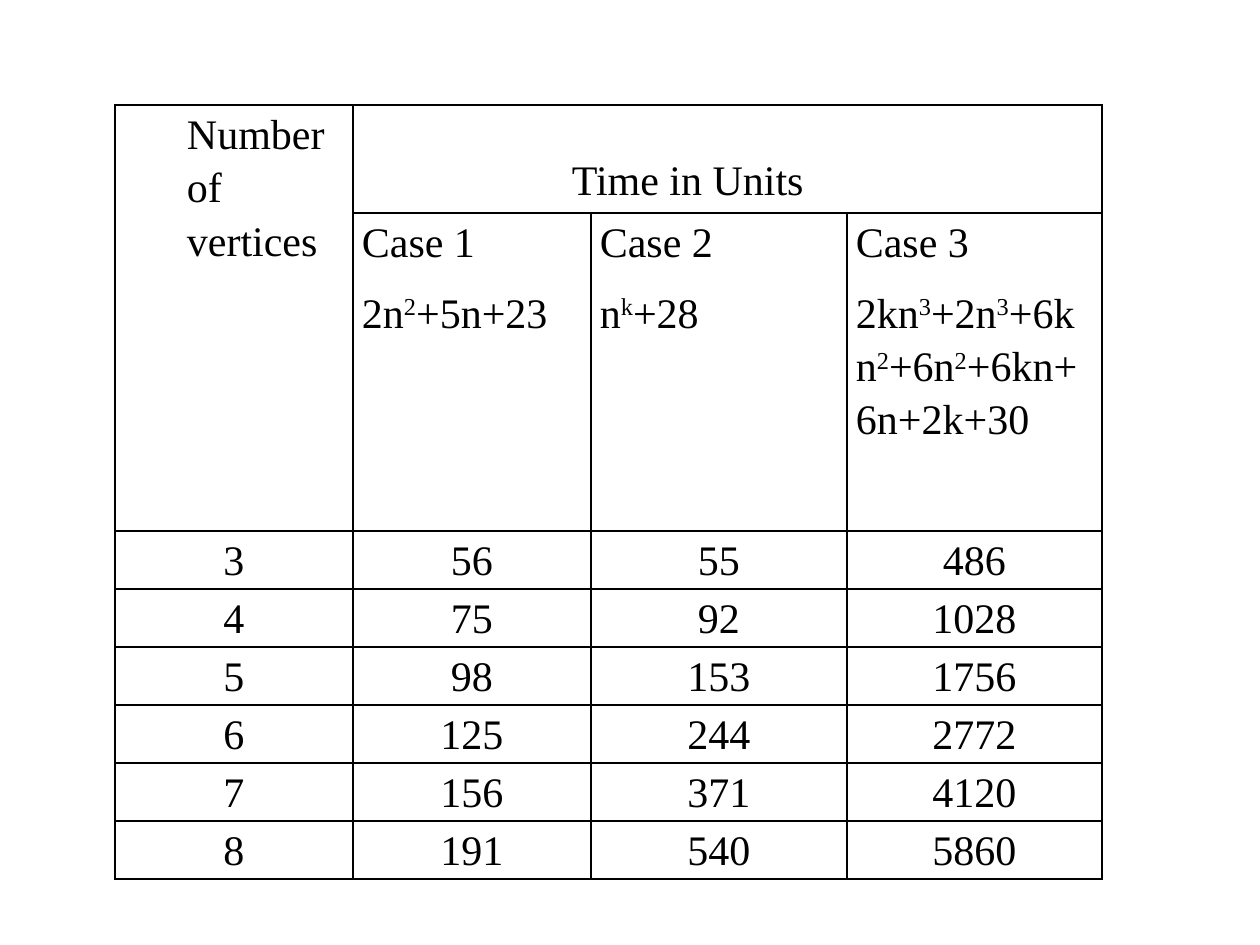
"""Build a slide with a table of running times for three cases."""
from dataclasses import dataclass

from lxml.etree import SubElement
from pptx import Presentation
from pptx.dml.color import RGBColor
from pptx.enum.text import PP_ALIGN as Align
from pptx.oxml.ns import qn
from pptx.table import _Cell as Cell
from pptx.util import Emu, Pt

BLACK = RGBColor(0, 0, 0)
FONT = "Times New Roman"
COLUMNS = (238, 238, 256, 255)
ROWS = (108, 318) + (58,) * 6
TIMES = (
    (3, 56, 55, 486),
    (4, 75, 92, 1028),
    (5, 98, 153, 1756),
    (6, 125, 244, 2772),
    (7, 156, 371, 4120),
    (8, 191, 540, 5860),
)


@dataclass(frozen=True)
class Entry:
    row: int
    col: int
    lines: tuple[str, ...]
    align: Align = Align.LEFT
    indent: int = 0
    top: int = 0


HEADERS = (
    Entry(0, 0, ("Number of vertices",), Align.JUSTIFY, indent=63),
    Entry(0, 1, ("Time in Units",), indent=210, top=46),
    Entry(1, 1, ("Case 1", "2n^2^+5n+23")),
    Entry(1, 2, ("Case 2", "n^k^+28")),
    Entry(1, 3, ("Case 3", "2kn^3^+2n^3^+6kn^2^+6n^2^+6kn+6n+2k+30")),
)


def px(value: float) -> Emu:
    """Convert pixels to EMU."""
    return Emu(round(value * 914400 / 126))


def style_cell(cell: Cell) -> None:
    """Clear the fill, set the margins and draw black borders."""
    cell.margin_left = cell.margin_right = px(9)
    cell.margin_top = cell.margin_bottom = 0
    tc_pr = cell._tc.get_or_add_tcPr()
    for side in ("lnL", "lnR", "lnT", "lnB"):
        ln = SubElement(tc_pr, qn(f"a:{side}"), w=str(Pt(1)))
        fill = SubElement(ln, qn("a:solidFill"))
        SubElement(fill, qn("a:srgbClr"), val=str(BLACK))
    cell.fill.background()


def write_entry(cell: Cell, entry: Entry) -> None:
    """Write the lines of an entry, with superscripts between carets."""
    cell.margin_top = px(entry.top)
    tf = cell.text_frame
    tf.text = "\n".join(entry.lines)
    for p, line in zip(tf.paragraphs, entry.lines):
        p.text = ""
        p.alignment = entry.align
        p.line_spacing = 1.15
        p.space_after = Pt(10)
        p._p.get_or_add_pPr().set("marL", str(px(entry.indent)))
        p._p.get_or_add_pPr().set("indent", "0")
        for i, part in enumerate(line.split("^")):
            r = p.add_run()
            r.text = part
            r.font.name = FONT
            r.font.size = Pt(24)
            r.font.color.rgb = BLACK
            if i % 2:
                r.font._element.set("baseline", "30000")


def main() -> None:
    """Create the presentation and save it."""
    prs = Presentation()
    prs.slide_width, prs.slide_height = px(1260), px(945)
    slide = prs.slides.add_slide(prs.slide_layouts[6])
    frame = slide.shapes.add_table(
        len(ROWS), len(COLUMNS), px(115), px(105), px(sum(COLUMNS)), px(sum(ROWS))
    )
    table = frame.table
    table.first_row = table.horz_banding = False
    for column, width in zip(table.columns, COLUMNS):
        column.width = px(width)
    for row, height in zip(table.rows, ROWS):
        row.height = px(height)
    for cell in table.iter_cells():
        style_cell(cell)
    table.cell(0, 0).merge(table.cell(1, 0))
    table.cell(0, 1).merge(table.cell(0, 3))

    values = tuple(
        Entry(row, col, (str(value),), Align.CENTER)
        for row, times in enumerate(TIMES, start=2)
        for col, value in enumerate(times)
    )
    for entry in HEADERS + values:
        write_entry(table.cell(entry.row, entry.col), entry)
    prs.save("out.pptx")


main()
